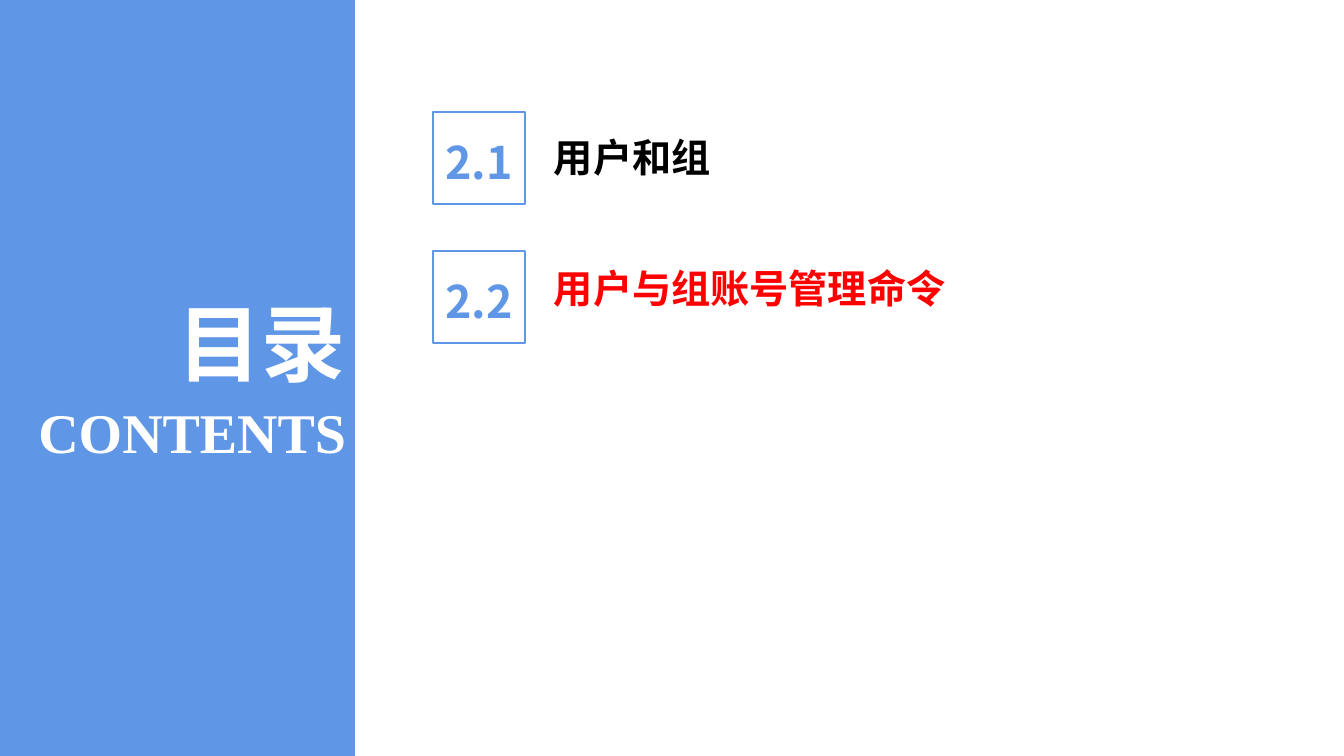
"""Build a contents slide with a blue side panel and numbered sections."""
import pptx
import pptx.util
import pptx.dml.color
import pptx.enum.shapes
import pptx.enum.text
import pptx.oxml.ns
from dataclasses import dataclass
from lxml import etree

HEADINGS = [
    {"text": "目录", "box": (99, 286, 256, 112), "size": "title", "font": "cjk"},
    {"text": "CONTENTS", "box": (0, 392, 356, 78), "size": "subtitle", "font": "latin"},
]
SECTIONS = [
    {"number": "2.1", "label": "用户和组", "color": "black", "label_top": 128},
    {"number": "2.2", "label": "用户与组账号管理命令", "color": "red", "label_top": 259},
]

SLIDE_W, SLIDE_H = 1344, 756
PANEL_W = 355
BOX_X, BOX_Y, BOX_SIDE, BOX_STEP = 433, 112, 92, 139
NUMBER_DROP, NUMBER_H = 17, 65
LABEL_X, LABEL_W, LABEL_H = 544, 598, 57
EMU_PER_PX = 914400 / 100.8


@dataclass(frozen=True)
class Theme:
    blue: str = "6096E6"
    white: str = "FFFFFF"
    black: str = "000000"
    red: str = "FF0000"
    cjk: str = "Noto Sans CJK SC"
    latin: str = "Times New Roman"
    title: int = 60
    subtitle: int = 40
    number: int = 32
    label: int = 28
    line: int = 1


THEME = Theme()
ALIGN = pptx.enum.text.PP_ALIGN


def px(*lengths):
    return [pptx.util.Emu(round(n * EMU_PER_PX)) for n in lengths]


def rgb(color):
    return pptx.dml.color.RGBColor.from_string(color)


def add_rect(s, box, fill=None, line=None):
    sp = s.shapes.add_shape(pptx.enum.shapes.MSO_SHAPE.RECTANGLE, *px(*box))
    sp.shadow.inherit = False
    if fill:
        sp.fill.solid()
        sp.fill.fore_color.rgb = rgb(fill)
    else:
        sp.fill.background()
    if line:
        sp.line.color.rgb = rgb(line)
        sp.line.width = pptx.util.Pt(THEME.line)
    else:
        sp.line.fill.background()


def add_text(s, box, text, size, color, align, font=THEME.cjk):
    tf = s.shapes.add_textbox(*px(*box)).text_frame
    tf.word_wrap = True
    tf.vertical_anchor = pptx.enum.text.MSO_ANCHOR.MIDDLE
    p = tf.paragraphs[0]
    p.alignment = align
    r = p.add_run()
    r.text = text
    r.font.size = pptx.util.Pt(size)
    r.font.bold = True
    r.font.color.rgb = rgb(color)
    r.font.name = font
    ea = etree.SubElement(r._r.get_or_add_rPr(), pptx.oxml.ns.qn("a:ea"))
    ea.set("typeface", font)


def main():
    prs = pptx.Presentation()
    prs.slide_width, prs.slide_height = px(SLIDE_W, SLIDE_H)
    s = prs.slides.add_slide(prs.slide_layouts[6])

    add_rect(s, (0, 0, PANEL_W, SLIDE_H), fill=THEME.blue)
    for h in HEADINGS:
        add_text(s, h["box"], h["text"], getattr(THEME, h["size"]), THEME.white,
                 ALIGN.RIGHT, getattr(THEME, h["font"]))

    for i, section in enumerate(SECTIONS):
        top = BOX_Y + i * BOX_STEP
        add_text(s, (LABEL_X, section["label_top"], LABEL_W, LABEL_H), section["label"],
                 THEME.label, getattr(THEME, section["color"]), ALIGN.LEFT)
        add_text(s, (BOX_X, top + NUMBER_DROP, BOX_SIDE, NUMBER_H), section["number"],
                 THEME.number, THEME.blue, ALIGN.CENTER)
        add_rect(s, (BOX_X, top, BOX_SIDE, BOX_SIDE), line=THEME.blue)

    prs.save("out.pptx")


if __name__ == "__main__":
    main()
